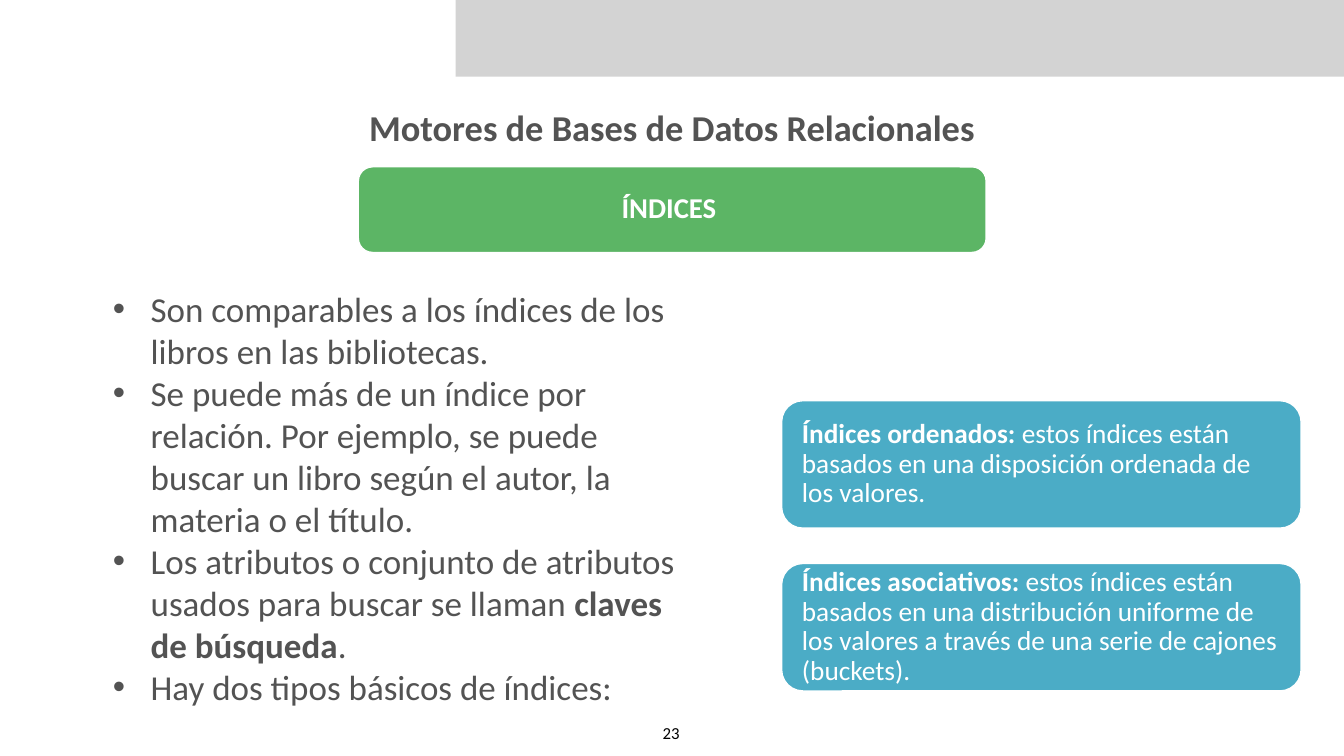
from lxml import etree
from pptx import Presentation
from pptx.dml.color import RGBColor
from pptx.enum.shapes import MSO_SHAPE
from pptx.enum.text import MSO_ANCHOR, MSO_AUTO_SIZE, PP_ALIGN
from pptx.oxml.ns import qn
from pptx.util import Inches, Pt

RECT, ROUNDED = MSO_SHAPE.RECTANGLE, MSO_SHAPE.ROUNDED_RECTANGLE
TOP, MIDDLE = MSO_ANCHOR.TOP, MSO_ANCHOR.MIDDLE
LEFT, CENTER = PP_ALIGN.LEFT, PP_ALIGN.CENTER
NO_FIT = MSO_AUTO_SIZE.NONE

SLIDE_W, SLIDE_H = 26.67, 15
GRAY, BAND, GREEN, BLUE = "535353", "D3D3D3", "5CB565", "4BACC6"
WHITE, BLACK = "FFFFFF", "000000"

# Each paragraph is a list of (text, bold) runs
BULLETS = [
    [("Son comparables a los índices de los libros en las bibliotecas.", False)],
    [("Se puede más de un índice por relación. Por ejemplo, se puede buscar "
      "un libro según el autor, la materia o el título.", False)],
    [("Los atributos o conjunto de atributos usados para buscar se llaman ", False),
     ("claves de búsqueda", True), (".", False)],
    [("Hay dos tipos básicos de índices:", False)],
]
INDEX_TYPES = [
    [("Índices ordenados:", True),
     (" estos índices están basados en una disposición ordenada de los "
      "valores.", False)],
    [("Índices asociativos:", True),
     (" estos índices están basados en una distribución uniforme de los "
      "valores a través de una serie de cajones (buckets).", False)],
]


def rgb(value):
    return RGBColor.from_string(value)


def inches(box):
    return [Inches(v) for v in box]


def add_bullet(p, indent):
    pPr = p._p.get_or_add_pPr()
    pPr.set("marL", str(Inches(indent)))
    pPr.set("indent", str(-Inches(indent)))
    etree.SubElement(pPr, qn("a:buFont")).set("typeface", "Arial")
    etree.SubElement(pPr, qn("a:buChar")).set("char", "•")


def write_text(sp, paragraphs, size, color, align=LEFT, anchor=MIDDLE,
               inset=(0.08, 0.08), spacing=1.0, bullet_indent=None, wrap=True):
    tf = sp.text_frame
    dx, dy = inches(inset)
    frame = {"margin_left": dx, "margin_right": dx, "margin_top": dy,
             "margin_bottom": dy, "vertical_anchor": anchor,
             "word_wrap": wrap, "auto_size": NO_FIT}
    for name, value in frame.items():
        setattr(tf, name, value)
    for i, runs in enumerate(paragraphs):
        p = tf.add_paragraph() if i else tf.paragraphs[0]
        layout = {"alignment": align, "line_spacing": spacing,
                  "space_before": Pt(0), "space_after": Pt(0)}
        for name, value in layout.items():
            setattr(p, name, value)
        if bullet_indent:
            add_bullet(p, bullet_indent)
        for text, bold in runs:
            r = p.add_run()
            r.text = text
            font = {"name": "Calibri", "size": Pt(size), "bold": bold}
            for name, value in font.items():
                setattr(r.font, name, value)
            r.font.color.rgb = rgb(color)


def add_box(s, kind, box, fill, line=None):
    sp = s.shapes.add_shape(kind, *inches(box))
    sp.shadow.inherit = False
    sp.fill.solid()
    sp.fill.fore_color.rgb = rgb(fill)
    if line:
        sp.line.color.rgb = rgb(line)
        sp.line.width = Pt(2)
    else:
        sp.line.fill.background()
    return sp


def add_title(s, box):
    sp = s.shapes.title
    sp.left, sp.top, sp.width, sp.height = inches(box)
    write_text(sp, [[("Motores de Bases de Datos Relacionales", True)]],
               52, GRAY, CENTER)


def add_heading(s, box):
    sp = add_box(s, ROUNDED, box, GREEN, WHITE)
    write_text(sp, [[("ÍNDICES ", True)]], 41, WHITE, CENTER,
               inset=(0.25, 0.25), spacing=0.9)


def add_bullets(s, box):
    sp = s.shapes.add_textbox(*inches(box))
    write_text(sp, BULLETS, 50, GRAY, anchor=TOP, inset=(0.08, 0.12),
               bullet_indent=0.75)


def add_index_cards(s, box, gap=0.7):
    left, top, width, height = box
    count = len(INDEX_TYPES)
    card_h = (height - gap * (count - 1)) / count
    for i, runs in enumerate(INDEX_TYPES):
        card = (left, top + i * (card_h + gap), width, card_h)
        sp = add_box(s, ROUNDED, card, BLUE, WHITE)
        write_text(sp, [runs], 39, WHITE, inset=(0.28, 0.04), spacing=0.9)


def add_page_number(s, box):
    sp = s.shapes.add_textbox(*inches(box))
    write_text(sp, [[("23", False)]], 24, BLACK, CENTER, TOP, wrap=False)


def main():
    prs = Presentation()
    prs.slide_width, prs.slide_height = Inches(SLIDE_W), Inches(SLIDE_H)
    s = prs.slides.add_slide(prs.slide_layouts[5])

    # Header band
    add_box(s, RECT, (9.04, 0, SLIDE_W - 9.04, 1.52), BAND)
    # Title and heading
    add_title(s, (5.29, 2.01, 16.09, 1.03))
    add_heading(s, (7.11, 3.31, 12.46, 1.7))
    # Body: bullets on the left, kinds of index on the right
    add_bullets(s, (2.16, 5.59, 11.71, 9.41))
    add_index_cards(s, (15.51, 7.95, 10.31, 5.76))
    # Footer
    add_page_number(s, (13.07, 14.26, 0.5, 0.55))

    prs.save("out.pptx")


if __name__ == "__main__":
    main()
